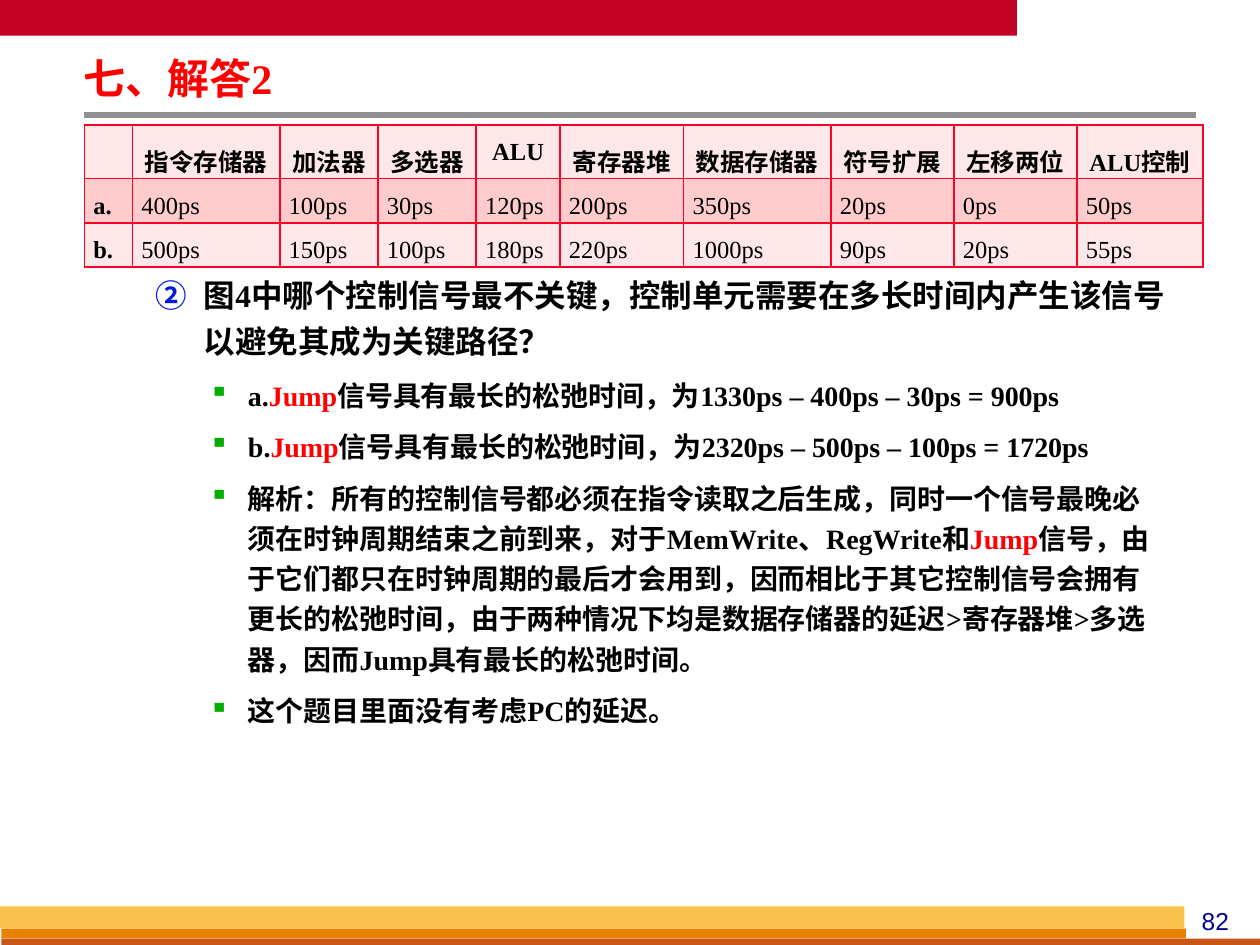
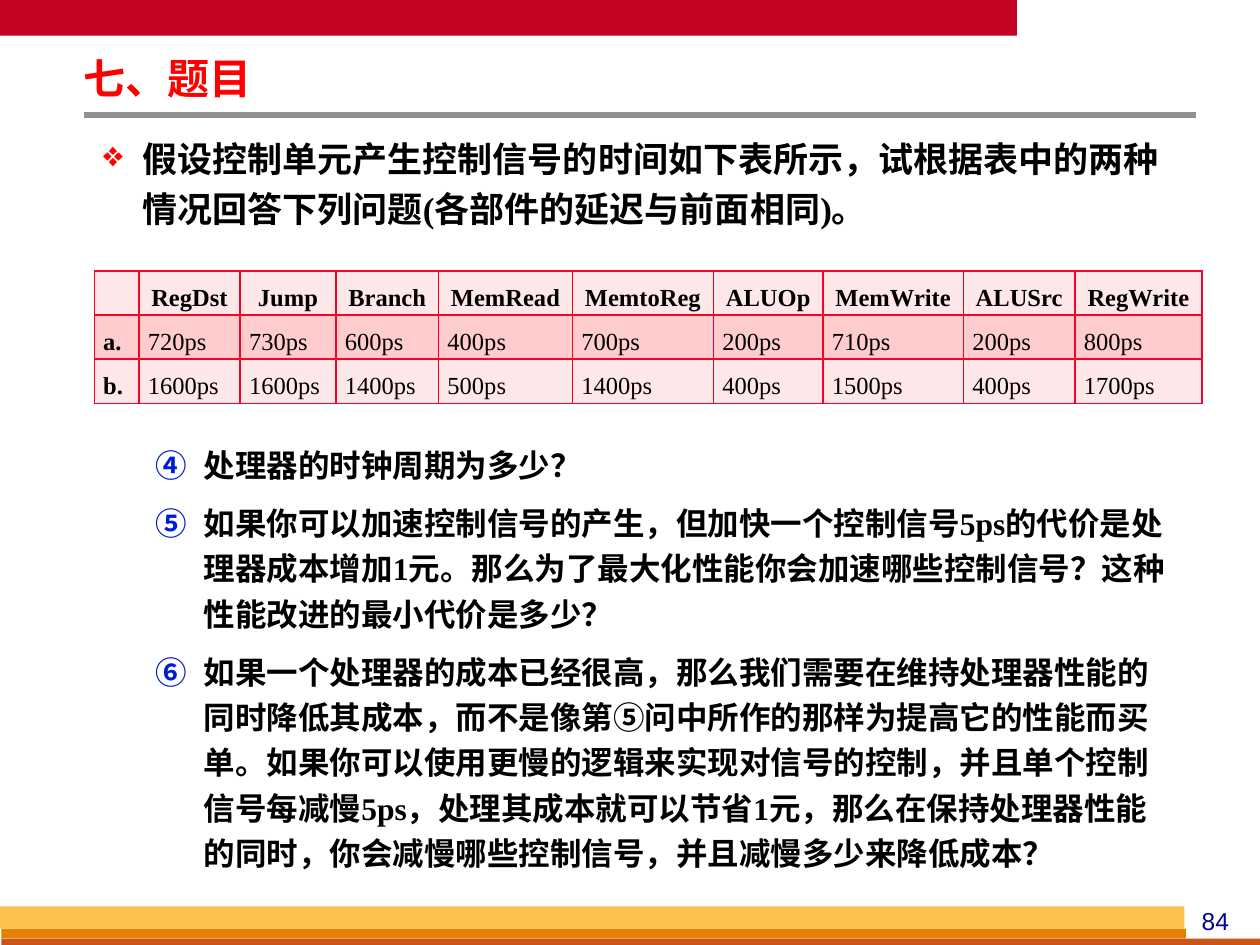
"""Builds two exercise slides on control signal timing in a processor."""
from dataclasses import dataclass

from lxml import etree
from pptx import Presentation
from pptx.dml.color import RGBColor
from pptx.enum.lang import MSO_LANGUAGE_ID
from pptx.enum.shapes import MSO_CONNECTOR, MSO_SHAPE
from pptx.enum.text import MSO_ANCHOR, MSO_AUTO_SIZE, PP_ALIGN
from pptx.oxml.ns import qn
from pptx.presentation import Presentation as Deck
from pptx.slide import Slide
from pptx.table import _Cell
from pptx.text.text import TextFrame, _Paragraph
from pptx.util import Cm, Pt

BLACK = RGBColor(0x00, 0x00, 0x00)
RED = RGBColor(0xFF, 0x00, 0x00)
CRIMSON = RGBColor(0xC3, 0x02, 0x24)
GRAY = RGBColor(0x91, 0x91, 0x91)
YELLOW = RGBColor(0xFC, 0xC2, 0x4F)
ORANGE = RGBColor(0xE8, 0x80, 0x00)
RUST = RGBColor(0xC9, 0x56, 0x16)
NAVY = RGBColor(0x00, 0x00, 0x99)
BLUE = RGBColor(0x00, 0x1A, 0xDC)
GREEN = RGBColor(0x05, 0xAD, 0x01)
BORDER_RED = RGBColor(0xFC, 0x01, 0x28)
PALE_PINK = RGBColor(0xFE, 0xE7, 0xE8)
PINK = RGBColor(0xFE, 0xCC, 0xCD)

SERIF = "Times New Roman"
SANS = "Arial"
CHINESE = MSO_LANGUAGE_ID.SIMPLIFIED_CHINESE
RECTANGLE = MSO_SHAPE.RECTANGLE
STRAIGHT = MSO_CONNECTOR.STRAIGHT
LEFT, CENTER, JUSTIFY = PP_ALIGN.LEFT, PP_ALIGN.CENTER, PP_ALIGN.JUSTIFY
TOP, MIDDLE = MSO_ANCHOR.TOP, MSO_ANCHOR.MIDDLE
NO_FIT = MSO_AUTO_SIZE.NONE
TITLE_ONLY = 5
BORDER_SIDES = ("a:lnL", "a:lnR", "a:lnT", "a:lnB")
INSETS = {"margin_left": Cm(0.18), "margin_right": Cm(0.18),
          "margin_top": Cm(0.08), "margin_bottom": Cm(0.08)}


@dataclass(frozen=True)
class Box:
    """A place on the slide in centimetres."""
    left: float
    top: float
    width: float
    height: float

    def lengths(self) -> tuple[Cm, Cm, Cm, Cm]:
        """Returns the place as lengths."""
        return Cm(self.left), Cm(self.top), Cm(self.width), Cm(self.height)


@dataclass(frozen=True)
class Band:
    """A coloured strip shared by all slides."""
    box: Box
    color: RGBColor


@dataclass(frozen=True)
class ListLevel:
    """The look of one list level; a number as mark starts circled counting."""
    mark: str | int
    color: RGBColor
    size: int
    indent: float
    hanging: float
    depth: int


@dataclass(frozen=True)
class Item:
    """One list paragraph; words between asterisks are red."""
    level: ListLevel
    text: str


@dataclass(frozen=True)
class ListBlock:
    """A text box with list items."""
    box: Box
    items: tuple[Item, ...]


@dataclass(frozen=True)
class DelayTable:
    """A table of delays for cases a and b."""
    left: float
    top: float
    widths: tuple[float, ...]
    headers: str
    delays: tuple[str, str]


@dataclass(frozen=True)
class Page:
    """The content of one slide."""
    number: int
    title: str
    table: DelayTable
    blocks: tuple[ListBlock, ...]


def question_level(start: int) -> ListLevel:
    """Returns the circled question level counting from start."""
    return ListLevel(start, BLUE, 18, 2.03, 0.97, 1)


TOPIC = ListLevel("❖", RED, 20, 0.79, 0.79, 0)
POINT = ListLevel("▪", GREEN, 16, 2.92, 0.79, 2)
SECOND, FOURTH = question_level(2), question_level(4)

BANDS = (
    Band(Box(0, 0, 20.5, 0.72), CRIMSON),
    Band(Box(0.03, 18.72, 23.88, 0.2), ORANGE),
    Band(Box(0.03, 18.92, 25.4, 0.2), RUST),
    Band(Box(0, 18.27, 23.88, 0.45), YELLOW),
)
TITLE_BOX = Box(1.5, 1.12, 14.6, 1.04)
NUMBER_BOX = Box(23.7, 18.14, 1.6, 0.84)
RULE_LEFT, RULE_RIGHT, RULE_TOP = 1.7, 24.1, 2.32
ROW_HEIGHT = 0.89

PAGES = (
    Page(
        82, "七、解答2",
        DelayTable(
            1.7, 2.52, (0.97, 2.97, 1.98, 1.98, 1.69, 2.49, 2.97, 2.48, 2.48, 2.54),
            "指令存储器 加法器 多选器 ALU 寄存器堆 数据存储器 符号扩展 左移两位 ALU控制",
            ("400ps 100ps 30ps 120ps 200ps 350ps 20ps 0ps 50ps",
             "500ps 150ps 100ps 180ps 220ps 1000ps 90ps 20ps 55ps")),
        (ListBlock(Box(1.9, 5.34, 21.8, 9.9), (
            Item(SECOND, "图4中哪个控制信号最不关键，控制单元需要在多长时间内产生该信号以避免其成为关键路径？"),
            Item(POINT, "a.*Jump*信号具有最长的松弛时间，为1330ps – 400ps – 30ps = 900ps"),
            Item(POINT, "b.*Jump*信号具有最长的松弛时间，为2320ps – 500ps – 100ps = 1720ps"),
            Item(POINT, "解析：所有的控制信号都必须在指令读取之后生成，同时一个信号最晚必须在时钟周期结束"
                        "之前到来，对于MemWrite、RegWrite和*Jump*信号，由于它们都只在时钟周期的最后"
                        "才会用到，因而相比于其它控制信号会拥有更长的松弛时间，由于两种情况下均是数据"
                        "存储器的延迟>寄存器堆>多选器，因而Jump具有最长的松弛时间。"),
            Item(POINT, "这个题目里面没有考虑PC的延迟。"))),)),
    Page(
        84, "七、题目",
        DelayTable(
            1.9, 5.46, (0.9, 2.04, 1.93, 2.07, 2.7, 2.84, 2.21, 2.83, 2.25, 2.56),
            "RegDst Jump Branch MemRead MemtoReg ALUOp MemWrite ALUSrc RegWrite",
            ("720ps 730ps 600ps 400ps 700ps 200ps 710ps 200ps 800ps",
             "1600ps 1600ps 1400ps 500ps 1400ps 400ps 1500ps 400ps 1700ps")),
        (ListBlock(Box(1.9, 2.52, 21.8, 2.5), (
            Item(TOPIC, "假设控制单元产生控制信号的时间如下表所示，试根据表中的两种情况回答下列问题"
                        "(各部件的延迟与前面相同)。"),)),
         ListBlock(Box(1.9, 8.76, 21.8, 9.2), (
             Item(FOURTH, "处理器的时钟周期为多少？"),
             Item(FOURTH, "如果你可以加速控制信号的产生，但加快一个控制信号5ps的代价是处理器成本增加"
                          "1元。那么为了最大化性能你会加速哪些控制信号？这种性能改进的最小代价是多少？"),
             Item(FOURTH, "如果一个处理器的成本已经很高，那么我们需要在维持处理器性能的同时降低其成本，"
                          "而不是像第⑤问中所作的那样为提高它的性能而买单。如果你可以使用更慢的逻辑来"
                          "实现对信号的控制，并且单个控制信号每减慢5ps，处理其成本就可以节省1元，那么"
                          "在保持处理器性能的同时，你会减慢哪些控制信号，并且减慢多少来降低成本？"))))),
)


def apply_format(target: object, values: dict[str, object]) -> None:
    """Sets every attribute in values on target."""
    for name, value in values.items():
        setattr(target, name, value)


def add_run(paragraph: _Paragraph, text: str, size: int, color: RGBColor = BLACK,
            bold: bool = True, name: str = SERIF) -> None:
    """Adds formatted text to a paragraph."""
    run = paragraph.add_run()
    run.text = text
    apply_format(run.font, {"name": name, "size": Pt(size), "bold": bold,
                            "language_id": CHINESE})
    run.font.color.rgb = color


def prepare_frame(frame: TextFrame, anchor: MSO_ANCHOR = TOP) -> _Paragraph:
    """Sets the shared frame format and returns the first paragraph."""
    apply_format(frame, {"word_wrap": True, "auto_size": NO_FIT,
                         "vertical_anchor": anchor, **INSETS})
    return frame.paragraphs[0]


def add_bullet(paragraph: _Paragraph, level: ListLevel) -> None:
    """Gives a paragraph the mark and indents of its level."""
    paragraph.level = level.depth
    properties = paragraph._p.get_or_add_pPr()
    properties.set("marL", str(Cm(level.indent)))
    properties.set("indent", str(-Cm(level.hanging)))
    color = etree.SubElement(properties, qn("a:buClr"))
    etree.SubElement(color, qn("a:srgbClr"), val=str(level.color))
    if isinstance(level.mark, int):
        etree.SubElement(properties, qn("a:buAutoNum"), type="circleNumDbPlain",
                         startAt=str(level.mark))
    else:
        etree.SubElement(properties, qn("a:buChar"), char=level.mark)


def add_list(slide: Slide, block: ListBlock) -> None:
    """Draws a text box with bulleted or numbered items."""
    frame = slide.shapes.add_textbox(*block.box.lengths()).text_frame
    first = prepare_frame(frame)
    for index, item in enumerate(block.items):
        paragraph = frame.add_paragraph() if index else first
        add_bullet(paragraph, item.level)
        gap = Pt(item.level.size * 0.2)
        apply_format(paragraph, {"line_spacing": 1.2, "space_after": gap,
                                 "space_before": gap if index else Pt(0)})
        for part, text in enumerate(item.text.split("*")):
            add_run(paragraph, text, item.level.size, RED if part % 2 else BLACK)


def format_cell(cell: _Cell, text: str, color: RGBColor, bold: bool,
                alignment: PP_ALIGN) -> None:
    """Fills, borders and writes one table cell."""
    apply_format(cell, {**INSETS, "margin_top": 0, "margin_bottom": 0})
    properties = cell._tc.get_or_add_tcPr()
    for side in BORDER_SIDES:
        line = etree.SubElement(properties, qn(side), w=str(Pt(1)))
        fill = etree.SubElement(line, qn("a:solidFill"))
        etree.SubElement(fill, qn("a:srgbClr"), val=str(BORDER_RED))
    cell.fill.solid()
    cell.fill.fore_color.rgb = color
    paragraph = cell.text_frame.paragraphs[0]
    apply_format(paragraph, {"alignment": alignment, "line_spacing": 1.5})
    paragraph.font.size = Pt(14)
    if text:
        add_run(paragraph, text, 14, bold=bold)


def add_delay_table(slide: Slide, content: DelayTable) -> None:
    """Draws the table of delays."""
    rows = [["", *content.headers.split()]]
    rows += [[case, *delays.split()] for case, delays in zip(("a.", "b."), content.delays)]
    box = Box(content.left, content.top, sum(content.widths), ROW_HEIGHT * len(rows))
    table = slide.shapes.add_table(len(rows), len(content.widths), *box.lengths()).table
    for column, width in zip(table.columns, content.widths):
        column.width = Cm(width)
    for row_index, row in enumerate(rows):
        table.rows[row_index].height = Cm(ROW_HEIGHT)
        for column_index, text in enumerate(row):
            format_cell(table.cell(row_index, column_index), text,
                        PINK if row_index % 2 else PALE_PINK,
                        row_index == 0 or column_index == 0,
                        JUSTIFY if row_index else CENTER)


def add_frame(slide: Slide, number: int) -> None:
    """Draws the bands, the title rule and the slide number."""
    for band in BANDS:
        shape = slide.shapes.add_shape(RECTANGLE, *band.box.lengths())
        shape.shadow.inherit = False
        shape.fill.solid()
        shape.fill.fore_color.rgb = band.color
        shape.line.fill.background()
    rule = slide.shapes.add_connector(STRAIGHT, Cm(RULE_LEFT), Cm(RULE_TOP),
                                      Cm(RULE_RIGHT), Cm(RULE_TOP))
    rule.line.width = Pt(3)
    rule.line.color.rgb = GRAY
    etree.SubElement(rule._element.spPr, qn("a:effectLst"))
    frame = slide.shapes.add_textbox(*NUMBER_BOX.lengths()).text_frame
    paragraph = prepare_frame(frame, MIDDLE)
    paragraph.alignment = CENTER
    add_run(paragraph, str(number), 14, NAVY, False, SANS)


def add_title(slide: Slide, text: str) -> None:
    """Moves and writes the title placeholder."""
    title = slide.shapes.title
    apply_format(title, dict(zip(("left", "top", "width", "height"), TITLE_BOX.lengths())))
    paragraph = prepare_frame(title.text_frame, MIDDLE)
    apply_format(paragraph, {"alignment": LEFT, "line_spacing": 0.87})
    add_run(paragraph, text, 24, RED)


def add_page(presentation: Deck, page: Page) -> None:
    """Adds one slide."""
    slide = presentation.slides.add_slide(presentation.slide_layouts[TITLE_ONLY])
    add_frame(slide, page.number)
    add_title(slide, page.title)
    for block in page.blocks:
        add_list(slide, block)
    add_delay_table(slide, page.table)


def main() -> None:
    """Builds and saves the presentation."""
    presentation = Presentation()
    apply_format(presentation, {"slide_width": Cm(25.4), "slide_height": Cm(19.05)})
    for page in PAGES:
        add_page(presentation, page)
    presentation.save("out.pptx")


if __name__ == "__main__":
    main()
